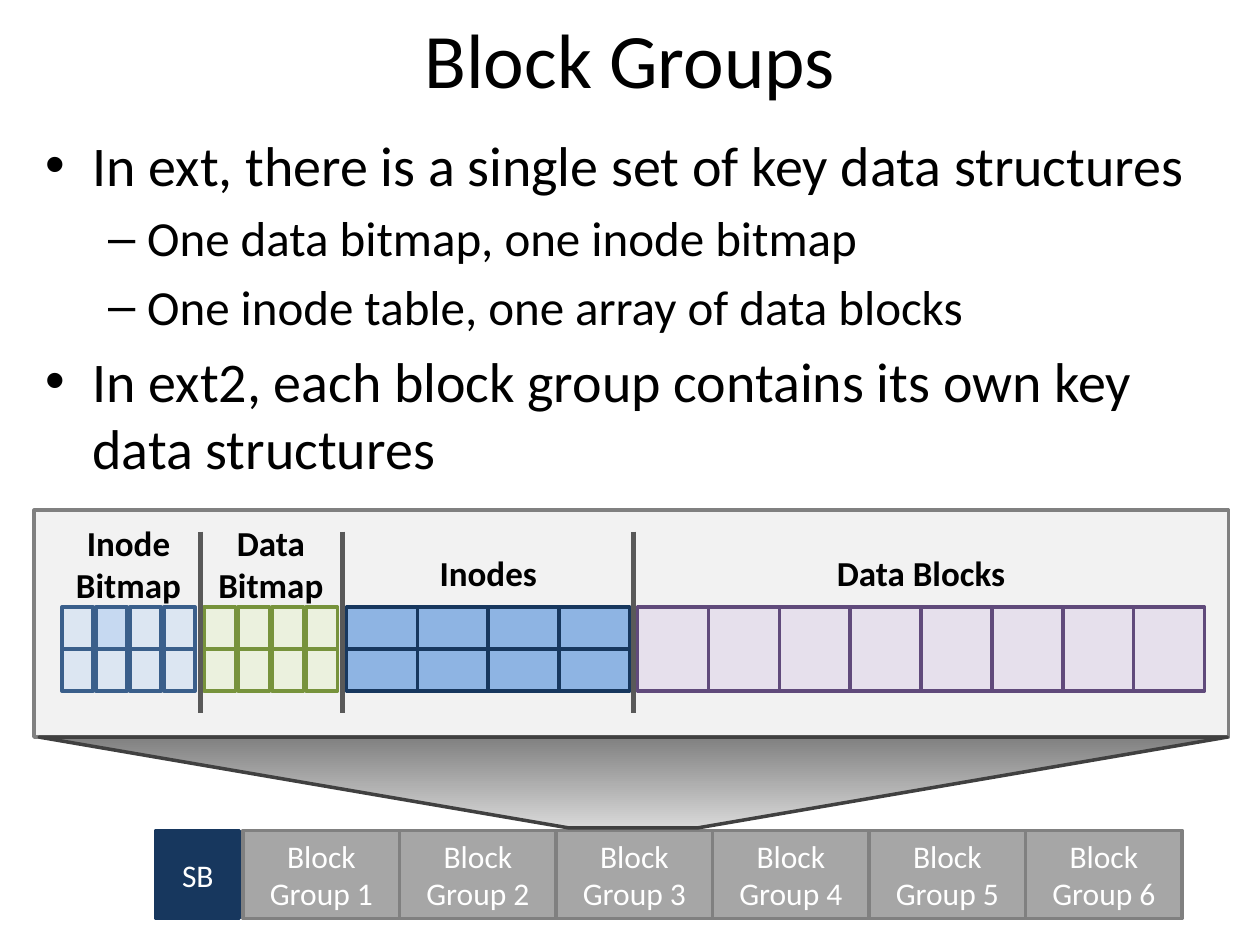
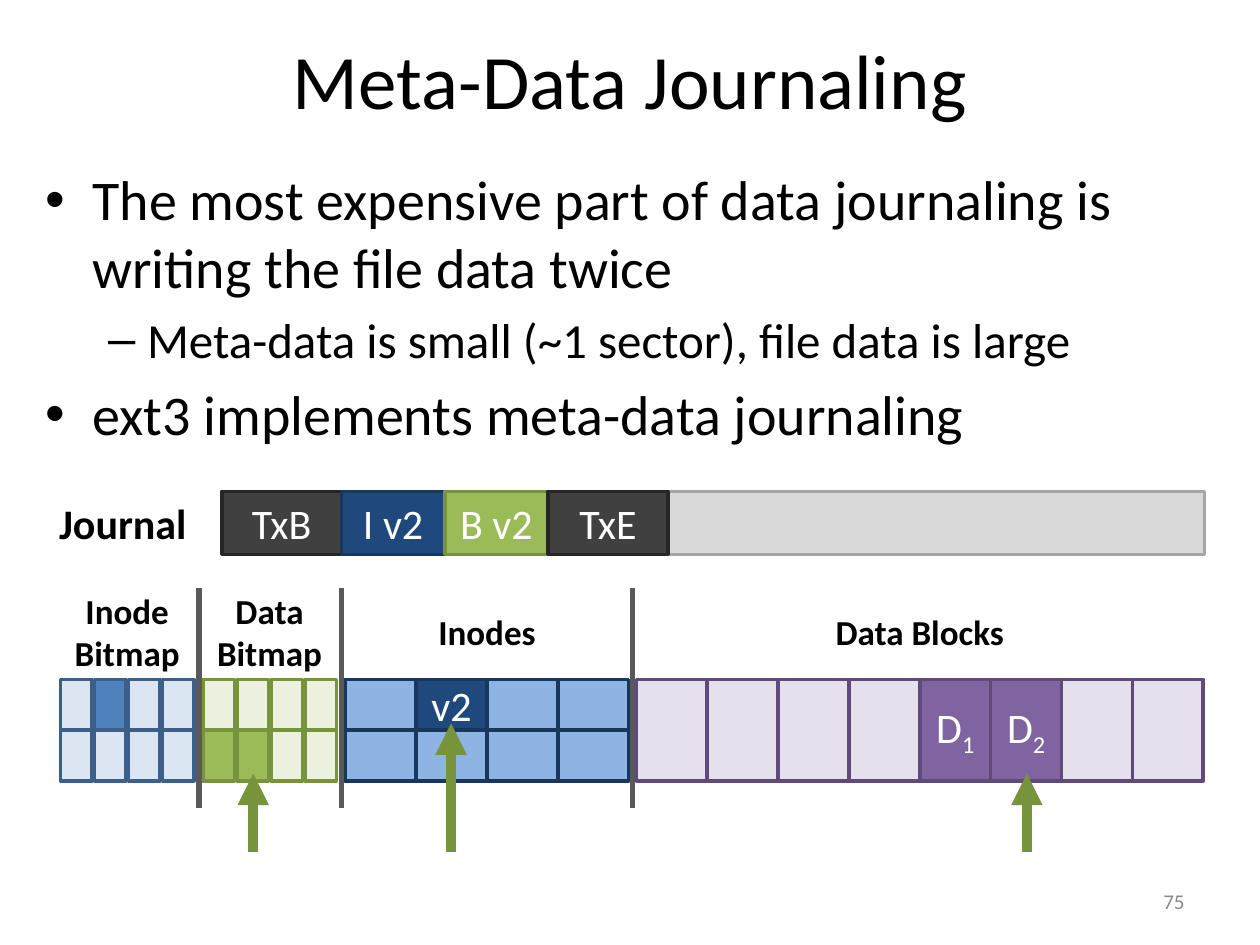
from lxml import etree
from pptx import Presentation
from pptx.dml.color import RGBColor
from pptx.enum.shapes import MSO_CONNECTOR, MSO_SHAPE
from pptx.enum.text import MSO_ANCHOR as ANCHOR, PP_ALIGN as ALIGN
from pptx.oxml.ns import qn
from pptx.util import Inches, Pt

FONT = "Calibri"
COLOURS = {
    "text": "000000", "white": "FFFFFF", "page_number": "8B8B8B",
    "panel": "F2F2F2", "grey": "A6A6A6", "grey_edge": "808080",
    "zoom_end": "D9D9D9", "zoom_edge": "404040", "divider": "595959",
    "track": "D9D9D9", "transaction": "404040", "transaction_edge": "262626",
    "inode_bit": "DCE6F2", "inode_bit_set": "C6D9F1", "inode_bit_new": "4F81BD",
    "inode_bit_edge": "3A5F8B",
    "data_bit": "EBF1DE", "data_bit_new": "9BBB59", "green_edge": "77933C",
    "inode": "8EB4E3", "inode_new": "1F497D", "navy": "17375E",
    "block": "E6E0EC", "block_new": "8064A2", "block_edge": "604A7B",
}

# name, label lines, offset, rows, columns, column pitch, cell width, fill, edge
REGIONS = [
    ("inode_bits", ["Inode", "Bitmap"], 0, 2, 4, 0.27, 0.25, "inode_bit", "inode_bit_edge"),
    ("data_bits", ["Data", "Bitmap"], 1.13, 2, 4, 0.27, 0.25, "data_bit", "green_edge"),
    ("inodes", ["Inodes"], 2.26, 2, 4, 0.5625, 0.5625, "inode", "navy"),
    ("blocks", ["Data Blocks"], 4.57, 1, 8, 0.5625, 0.5625, "block", "block_edge"),
]
DIVIDER_GAP = 0.03
CELLS_TOP, CELLS_HEIGHT = 0.415, 0.463  # shares of the disk map's height

# size, left margin, hanging indent, space before, bullet
BULLET_LEVELS = [(32, 0.375, 0.375, 6.4, "•"), (28, 0.81, 0.31, 5.6, "–")]


def rgb(name):
    return RGBColor.from_string(COLOURS[name])


def inches(*lengths):
    return [Inches(length) for length in lengths]


def add_run(paragraph, text, size, colour="text", bold=False, subscript=False):
    run = paragraph.add_run()
    run.text = text
    font = run.font
    font.name, font.size, font.bold = FONT, Pt(size), bold
    font.color.rgb = rgb(colour)
    if subscript:
        run._r.get_or_add_rPr().set("baseline", "-25000")


def add_box(shapes, box, fill, edge, text="", size=24, subscript=""):
    rect = shapes.add_shape(MSO_SHAPE.RECTANGLE, *inches(*box))
    rect.shadow.inherit = False
    rect.fill.solid()
    rect.fill.fore_color.rgb = rgb(fill)
    rect.line.color.rgb = rgb(edge)
    rect.line.width = Pt(2)
    if text:
        frame = rect.text_frame
        frame.word_wrap = True
        frame.vertical_anchor = ANCHOR.MIDDLE
        paragraph = frame.paragraphs[0]
        paragraph.alignment = ALIGN.CENTER
        add_run(paragraph, text, size, "white")
        if subscript:
            add_run(paragraph, subscript, size, "white", subscript=True)


def add_label(shapes, box, lines, size, align=ALIGN.CENTER, colour="text", bold=True):
    frame = shapes.add_textbox(*inches(*box)).text_frame
    frame.word_wrap = False
    frame.vertical_anchor = ANCHOR.MIDDLE
    for index, line in enumerate(lines):
        paragraph = frame.add_paragraph() if index else frame.paragraphs[0]
        paragraph.alignment = align
        add_run(paragraph, line, size, colour, bold)


def add_line(shapes, start, end, colour, width, arrow=False):
    line = shapes.add_connector(MSO_CONNECTOR.STRAIGHT, *inches(*start, *end))
    line.line.color.rgb = rgb(colour)
    line.line.width = Pt(width)
    if arrow:
        etree.SubElement(line.line._get_or_add_ln(), qn("a:tailEnd"), type="triangle")
    etree.SubElement(line._element.spPr, qn("a:effectLst"))


def add_titled_slide(prs, title, title_height):
    slide = prs.slides.add_slide(prs.slide_layouts[5])
    holder = slide.shapes.title
    holder.left, holder.top, holder.width, holder.height = inches(0.5, 0, 9, title_height)
    frame = holder.text_frame
    frame.vertical_anchor = ANCHOR.MIDDLE
    frame.paragraphs[0].alignment = ALIGN.CENTER
    add_run(frame.paragraphs[0], title, 44)
    return slide


def add_bullets(slide, box, items):
    """Items are (level, text) pairs."""
    frame = slide.shapes.add_textbox(*inches(*box)).text_frame
    frame.word_wrap = True
    for index, (level, text) in enumerate(items):
        size, margin, hanging, before, mark = BULLET_LEVELS[level]
        paragraph = frame.add_paragraph() if index else frame.paragraphs[0]
        paragraph.level = level
        paragraph.space_before = Pt(before if index else 0)
        props = paragraph._p.get_or_add_pPr()
        props.set("marL", str(Inches(margin)))
        props.set("indent", str(-Inches(hanging)))
        etree.SubElement(props, qn("a:buFont"), typeface="Arial")
        etree.SubElement(props, qn("a:buChar"), char=mark)
        add_run(paragraph, text, size)


def add_disk_map(slide, left, top, height, label_middles, marked):
    """Draw the four disk regions.

    label_middles holds the label centre below top for one and two lines;
    marked maps (region, row, column) to a fill and optional cell texts.
    """
    shapes = slide.shapes.add_group_shape().shapes
    cells_top = top + CELLS_TOP * height
    for name, label, offset, rows, columns, pitch, cell_width, fill, edge in REGIONS:
        start = left + offset
        cell_height = CELLS_HEIGHT * height / rows
        for row in range(rows):
            for column in range(columns):
                cell_fill, *texts = marked.get((name, row, column), (fill,))
                cell = (start + column * pitch, cells_top + row * cell_height,
                        cell_width, cell_height)
                add_box(shapes, cell, cell_fill, edge, *texts)
        region_width = (columns - 1) * pitch + cell_width
        label_height = 0.1 + 0.33 * len(label)
        label_top = top + label_middles[len(label) - 1] - label_height / 2
        add_label(shapes, (start, label_top, region_width, label_height), label, 20)
    for region in REGIONS[1:]:
        x = left + region[2] - DIVIDER_GAP
        add_line(shapes, (x, top), (x, top + height), "divider", 3)


def add_group_row(slide, left, top, height):
    """Draw the superblock and the six block groups after it."""
    group_width, groups_left = 1.242, left + 0.69
    add_box(slide.shapes, (left, top, 0.66, height), "navy", "navy", "SB", 18)
    for index in range(6):
        box = (groups_left + index * group_width, top, group_width, height)
        add_box(slide.shapes, box, "grey", "grey_edge", f"Block Group {index + 1}", 18)


def add_zoom(slide, box):
    """Draw the funnel that widens from one block group to the panel."""
    funnel = slide.shapes.add_shape(MSO_SHAPE.TRAPEZOID, *inches(*box))
    funnel.shadow.inherit = False
    funnel.adjustments[0] = 5.833
    funnel.rotation = 180
    funnel.fill.gradient()
    funnel.fill.gradient_angle = 90
    for stop, colour in zip(funnel.fill.gradient_stops, ("grey_edge", "zoom_end")):
        stop.color.rgb = rgb(colour)
    funnel.line.color.rgb = rgb("zoom_edge")
    funnel.line.width = Pt(2)


def add_journal(slide, left, top, width, height):
    add_label(slide.shapes, (left - 1.39, top, 1.21, height), ["Journal"], 24, ALIGN.LEFT)
    add_box(slide.shapes, (left, top, width, height), "track", "grey")
    entries = [("TxB", 0.95, "transaction", "transaction_edge"),
               ("I v2", 0.82, "inode_new", "navy"),
               ("B v2", 0.82, "data_bit_new", "green_edge"),
               ("TxE", 0.95, "transaction", "transaction_edge")]
    for text, entry_width, fill, edge in entries:
        add_box(slide.shapes, (left, top, entry_width, height), fill, edge, text)
        left += entry_width


def build_block_groups(prs):
    slide = add_titled_slide(prs, "Block Groups", 0.92)
    add_bullets(slide, (0.26, 0.99, 9.49, 2.97), [
        (0, "In ext, there is a single set of key data structures"),
        (1, "One data bitmap, one inode bitmap"),
        (1, "One inode table, one array of data blocks"),
        (0, "In ext2, each block group contains its own key data structures"),
    ])
    add_box(slide.shapes, (0.27, 4.05, 9.48, 1.8), "panel", "grey_edge")
    add_disk_map(slide, 0.49, 4.22, 1.44, (0.32, 0.25),
                 {("inode_bits", 0, 1): ("inode_bit_set",)})
    add_group_row(slide, 1.24, 6.59, 0.7)
    add_zoom(slide, (0.31, 5.85, 9.43, 0.72))


def build_journaling(prs):
    slide = add_titled_slide(prs, "Meta-Data Journaling", 1.25)
    add_bullets(slide, (0.26, 1.26, 9.49, 2.48), [
        (0, "The most expensive part of data journaling is writing the file data twice"),
        (1, "Meta-data is small (~1 sector), file data is large"),
        (0, "ext3 implements meta-data journaling"),
    ])
    add_label(slide.shapes, (7.17, 6.95, 2.33, 0.4), ["75"], 12, ALIGN.RIGHT,
              "page_number", False)
    add_journal(slide, 1.76, 3.9, 7.8, 0.5)
    add_disk_map(slide, 0.48, 4.67, 1.74, (0.34, 0.34), {
        ("inode_bits", 0, 1): ("inode_bit_new",),
        ("data_bits", 1, 0): ("data_bit_new",),
        ("data_bits", 1, 1): ("data_bit_new",),
        ("inodes", 0, 1): ("inode_new", "v2"),
        ("blocks", 0, 4): ("block_new", "D", 24, "1"),
        ("blocks", 0, 5): ("block_new", "D", 24, "2"),
    })
    for x, tip in [(2.01, 6.14), (3.58, 5.74), (8.15, 6.14)]:
        add_line(slide.shapes, (x, 6.76), (x, tip), "green_edge", 6, arrow=True)


def main():
    prs = Presentation()
    prs.slide_width, prs.slide_height = inches(10, 7.5)
    build_block_groups(prs)
    build_journaling(prs)
    prs.save("out.pptx")


if __name__ == "__main__":
    main()
